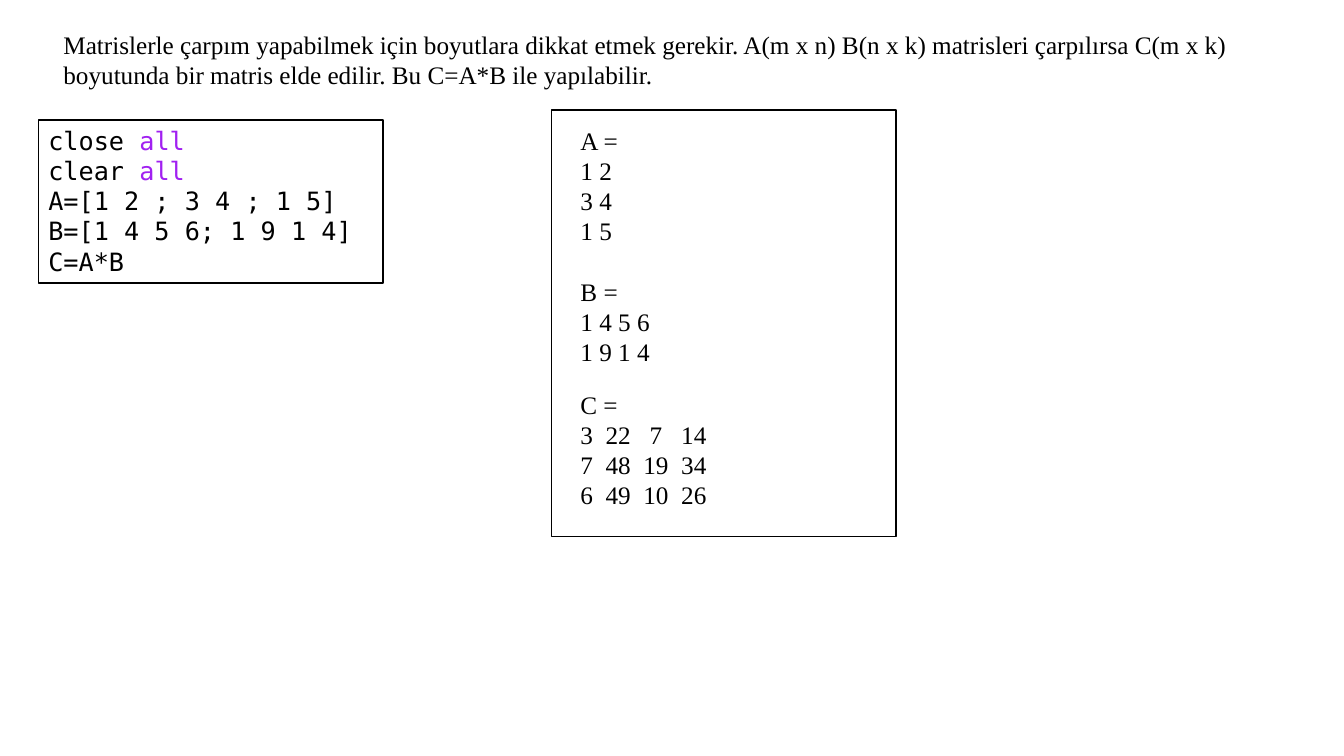
from lxml.etree import SubElement
from pptx import Presentation
from pptx.dml.color import RGBColor
from pptx.enum.shapes import MSO_SHAPE as Shape
from pptx.enum.text import MSO_AUTO_SIZE as AutoSize
from pptx.oxml.ns import qn
from pptx.util import Pt

# Content: each line is a list of (text, colour) runs
BLACK, PURPLE = "000000", "A120F1"
SERIF, MONO = "Times New Roman", "DejaVu Sans Mono"

explanation = ["Matrislerle çarpım yapabilmek için boyutlara dikkat etmek gerekir. "
               "A(m x n) B(n x k) matrisleri çarpılırsa C(m x k) boyutunda bir matris "
               "elde edilir. Bu C=A*B ile yapılabilir."]
code = [
    [("close ", BLACK), ("all", PURPLE)],
    [("clear ", BLACK), ("all", PURPLE)],
    "A=[1 2 ; 3 4 ; 1 5]",
    "B=[1 4 5 6; 1 9 1 4]",
    "C=A*B",
]
factors = ["A =", "1 2", "3 4", "1 5", "B =", "1 4 5 6", "1 9 1 4"]
product = [(3, 22, 7, 14), (7, 48, 19, 34), (6, 49, 10, 26)]
product_lines = ["C ="] + ["\t".join(map(str, row)) for row in product]

# Layout in points: left, top, width, height
SIZE, LINE_HEIGHT, COLUMN_STEP = 18, 21.6, 27
CODE_LEFT, RESULT_LEFT, TOP = 27.4, 407.5, 85.7
FRAME_WIDTH, CODE_HEIGHT = 246.2, 116.6
texts = [
    (explanation, SERIF, (38.2, 17.3, 885, 51)),
    (code, MONO, (CODE_LEFT, TOP, 480, CODE_HEIGHT)),
    (factors, SERIF, (RESULT_LEFT, TOP, 166.3, 181.4)),
    (product_lines, SERIF, (RESULT_LEFT, 274.3, 158.4, 94.3)),
]
frames = [
    (CODE_LEFT, TOP, FRAME_WIDTH, CODE_HEIGHT),
    (393.8, 78.5, FRAME_WIDTH, 304.6),
]


def color(hex_code):
    return RGBColor.from_string(hex_code)


def apply(target, formats):
    for name, value in formats.items():
        setattr(target, name, value)


def add_column_stops(paragraph, count):
    stops = SubElement(paragraph._p.get_or_add_pPr(), qn("a:tabLst"))
    for column in range(1, count):
        SubElement(stops, qn("a:tab"), pos=str(Pt(column * COLUMN_STEP)), algn="ctr")


def add_text(slide, lines, font, place):
    frame = slide.shapes.add_textbox(*map(Pt, place)).text_frame
    apply(frame, {"word_wrap": True, "auto_size": AutoSize.SHAPE_TO_FIT_TEXT})
    for index, line in enumerate(lines):
        paragraph = frame.add_paragraph() if index else frame.paragraphs[0]
        runs = [(line, BLACK)] if isinstance(line, str) else line
        for text, run_color in runs:
            run = paragraph.add_run()
            run.text = text
            apply(run.font, {"name": font, "size": Pt(SIZE)})
            run.font.color.rgb = color(run_color)
            if "\t" in text:
                add_column_stops(paragraph, len(product[0]))
            # Each later matrix heading stands one line apart
            if index and text.endswith(" ="):
                paragraph.space_before = Pt(LINE_HEIGHT)


def add_frame(slide, place):
    frame = slide.shapes.add_shape(Shape.RECTANGLE, *map(Pt, place))
    frame.shadow.inherit = False
    frame.fill.background()
    frame.line.color.rgb = color(BLACK)
    frame.line.width = Pt(1)


def main():
    deck = Presentation()
    apply(deck, {"slide_width": Pt(960), "slide_height": Pt(540)})
    slide = deck.slides.add_slide(deck.slide_layouts[6])
    for lines, font, place in texts:
        add_text(slide, lines, font, place)
    for place in frames:
        add_frame(slide, place)
    deck.save("out.pptx")


if __name__ == "__main__":
    main()
